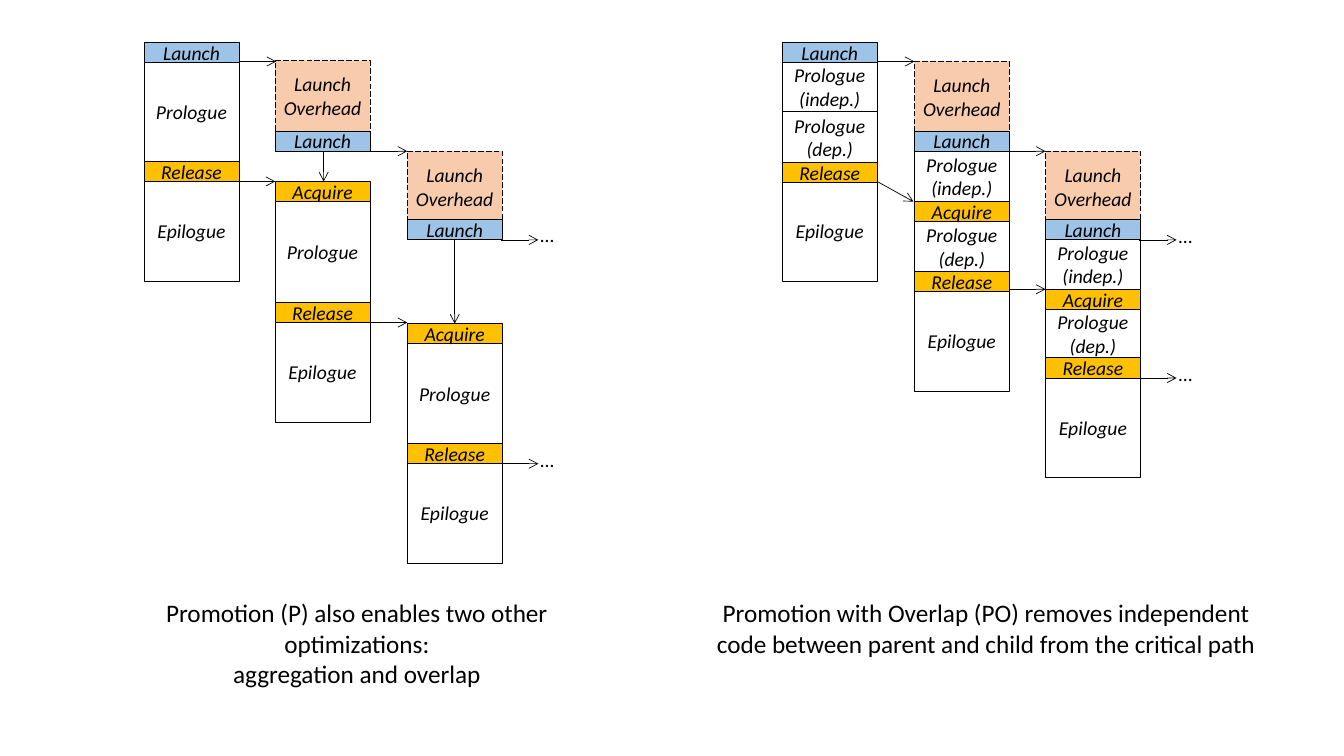
"""Build the slide comparing promotion with and without overlap as staggered launch timelines."""
from typing import NamedTuple

from lxml.etree import SubElement
from pptx import Presentation
from pptx.dml.color import RGBColor
from pptx.enum.dml import MSO_LINE
from pptx.enum.shapes import MSO_CONNECTOR, MSO_SHAPE
from pptx.enum.text import MSO_ANCHOR, MSO_AUTO_SIZE, PP_ALIGN
from pptx.oxml.ns import qn
from pptx.slide import Slide
from pptx.text.text import TextFrame
from pptx.util import Inches, Pt

COLORS = {"ink": "000000", "work": "FFFFFF", "launch": "9DC3E6",
          "sync": "FFC000", "overhead": "F8CBAD"}
FONT = "Calibri"
STAGE_WIDTH = 0.94
LINE_WIDTH = Pt(0.5)


class Stage(NamedTuple):
    label: str
    height: float
    color: str
    dashed: bool = False


class Kernel(NamedTuple):
    left: float
    stages: list[tuple[Stage, float]]


class Arrow(NamedTuple):
    x1: float
    y1: float
    x2: float
    y2: float


class Timeline(NamedTuple):
    kernels: list[Kernel]
    arrows: list[Arrow]
    continuations: list[tuple[float, float]]


class Caption(NamedTuple):
    text: str
    left: float
    width: float


LAUNCH = Stage("Launch", 0.2, "launch")
ACQUIRE = Stage("Acquire", 0.2, "sync")
RELEASE = Stage("Release", 0.2, "sync")
OVERHEAD = Stage("Launch Overhead", 0.7, "overhead", True)
PROLOGUE = Stage("Prologue", 1, "work")
INDEP = Stage("Prologue\n(indep.)", 0.5, "work")
DEP = Stage("Prologue\n(dep.)", 0.5, "work")
EPILOGUE = Stage("Epilogue", 1, "work")

PROMOTION = Timeline(
    [
        Kernel(1.43, [(LAUNCH, 0.42), (PROLOGUE, 0.61), (RELEASE, 1.6), (EPILOGUE, 1.79)]),
        Kernel(2.73, [(OVERHEAD, 0.6), (LAUNCH, 1.3), (ACQUIRE, 1.8),
                      (PROLOGUE, 2), (RELEASE, 3), (EPILOGUE, 3.19)]),
        Kernel(4.04, [(OVERHEAD, 1.5), (LAUNCH, 2.18), (ACQUIRE, 3.21),
                      (PROLOGUE, 3.41), (RELEASE, 4.4), (EPILOGUE, 4.59)]),
    ],
    [
        Arrow(2.37, 0.61, 2.74, 0.61), Arrow(2.37, 1.8, 2.73, 1.8),
        Arrow(3.67, 1.5, 4.04, 1.5), Arrow(3.67, 3.2, 4.04, 3.2),
        Arrow(4.97, 2.38, 5.34, 2.38), Arrow(4.98, 4.6, 5.34, 4.6),
        Arrow(3.21, 1.5, 3.21, 1.8), Arrow(4.51, 2.38, 4.51, 3.21),
    ],
    [(5.36, 2.21), (5.36, 4.44)],
)
OVERLAP = Timeline(
    [
        Kernel(7.76, [(LAUNCH, 0.42), (INDEP, 0.61), (DEP, 1.11),
                      (RELEASE, 1.61), (EPILOGUE, 1.79)]),
        Kernel(9.07, [(OVERHEAD, 0.61), (LAUNCH, 1.3), (INDEP, 1.5), (ACQUIRE, 2),
                      (DEP, 2.2), (RELEASE, 2.69), (EPILOGUE, 2.88)]),
        Kernel(10.37, [(OVERHEAD, 1.5), (LAUNCH, 2.18), (INDEP, 2.37), (ACQUIRE, 2.87),
                       (DEP, 3.06), (RELEASE, 3.55), (EPILOGUE, 3.74)]),
    ],
    [
        Arrow(8.7, 0.61, 9.07, 0.61), Arrow(8.7, 1.8, 9.06, 2),
        Arrow(10, 1.5, 10.37, 1.5), Arrow(10.01, 2.87, 10.37, 2.87),
        Arrow(11.3, 2.38, 11.67, 2.38), Arrow(11.31, 3.75, 11.67, 3.75),
    ],
    [(11.69, 2.22), (11.69, 3.59)],
)
CAPTIONS = [
    Caption("Promotion (P) also enables two other optimizations:\naggregation and overlap",
            0.84, 5.4),
    Caption("Promotion with Overlap (PO) removes independent code between parent "
            "and child from the critical path", 6.84, 5.88),
]


def rgb(name: str) -> RGBColor:
    return RGBColor.from_string(COLORS[name])


def write(frame: TextFrame, text: str, size: int, align: PP_ALIGN, italic: bool = False) -> None:
    frame.text = text
    for paragraph in frame.paragraphs:
        paragraph.alignment = align
        for run in paragraph.runs:
            run.font.name = FONT
            run.font.size = Pt(size)
            run.font.italic = italic
            run.font.color.rgb = rgb("ink")


def clear_margins(frame: TextFrame) -> None:
    frame.margin_left = frame.margin_right = frame.margin_top = frame.margin_bottom = 0


def draw_stage(slide: Slide, stage: Stage, left: float, top: float) -> None:
    block = slide.shapes.add_shape(MSO_SHAPE.RECTANGLE, Inches(left), Inches(top),
                                   Inches(STAGE_WIDTH), Inches(stage.height))
    block.shadow.inherit = False
    block.fill.solid()
    block.fill.fore_color.rgb = rgb(stage.color)
    block.line.color.rgb = rgb("ink")
    block.line.width = LINE_WIDTH
    if stage.dashed:
        block.line.dash_style = MSO_LINE.LONG_DASH
    frame = block.text_frame
    clear_margins(frame)
    frame.word_wrap = True
    frame.vertical_anchor = MSO_ANCHOR.MIDDLE
    write(frame, stage.label, 14, PP_ALIGN.CENTER, italic=True)


def draw_arrow(slide: Slide, arrow: Arrow) -> None:
    link = slide.shapes.add_connector(MSO_CONNECTOR.STRAIGHT, *map(Inches, arrow))
    link.line.color.rgb = rgb("ink")
    link.line.width = LINE_WIDTH
    SubElement(link.line._get_or_add_ln(), qn("a:tailEnd"), type="arrow")
    SubElement(link._element.spPr, qn("a:effectLst"))


def draw_continuation(slide: Slide, left: float, top: float) -> None:
    frame = slide.shapes.add_textbox(Inches(left), Inches(top),
                                     Inches(0.27), Inches(0.24)).text_frame
    clear_margins(frame)
    frame.word_wrap = False
    frame.auto_size = MSO_AUTO_SIZE.SHAPE_TO_FIT_TEXT
    write(frame, "…", 14, PP_ALIGN.LEFT)


def draw_timeline(slide: Slide, timeline: Timeline) -> None:
    for kernel in timeline.kernels:
        for stage, top in sorted(kernel.stages, key=lambda item: -item[0].height):
            draw_stage(slide, stage, kernel.left, top)
    for arrow in timeline.arrows:
        draw_arrow(slide, arrow)
    for left, top in timeline.continuations:
        draw_continuation(slide, left, top)


def draw_caption(slide: Slide, caption: Caption) -> None:
    frame = slide.shapes.add_textbox(Inches(caption.left), Inches(5.88),
                                     Inches(caption.width), Inches(0.71)).text_frame
    frame.word_wrap = True
    frame.auto_size = MSO_AUTO_SIZE.SHAPE_TO_FIT_TEXT
    write(frame, caption.text, 18, PP_ALIGN.CENTER)


def main() -> None:
    deck = Presentation()
    deck.slide_width, deck.slide_height = Inches(13.33), Inches(7.5)
    slide = deck.slides.add_slide(deck.slide_layouts[6])
    for timeline in (PROMOTION, OVERLAP):
        draw_timeline(slide, timeline)
    for caption in CAPTIONS:
        draw_caption(slide, caption)
    deck.save("out.pptx")


main()
